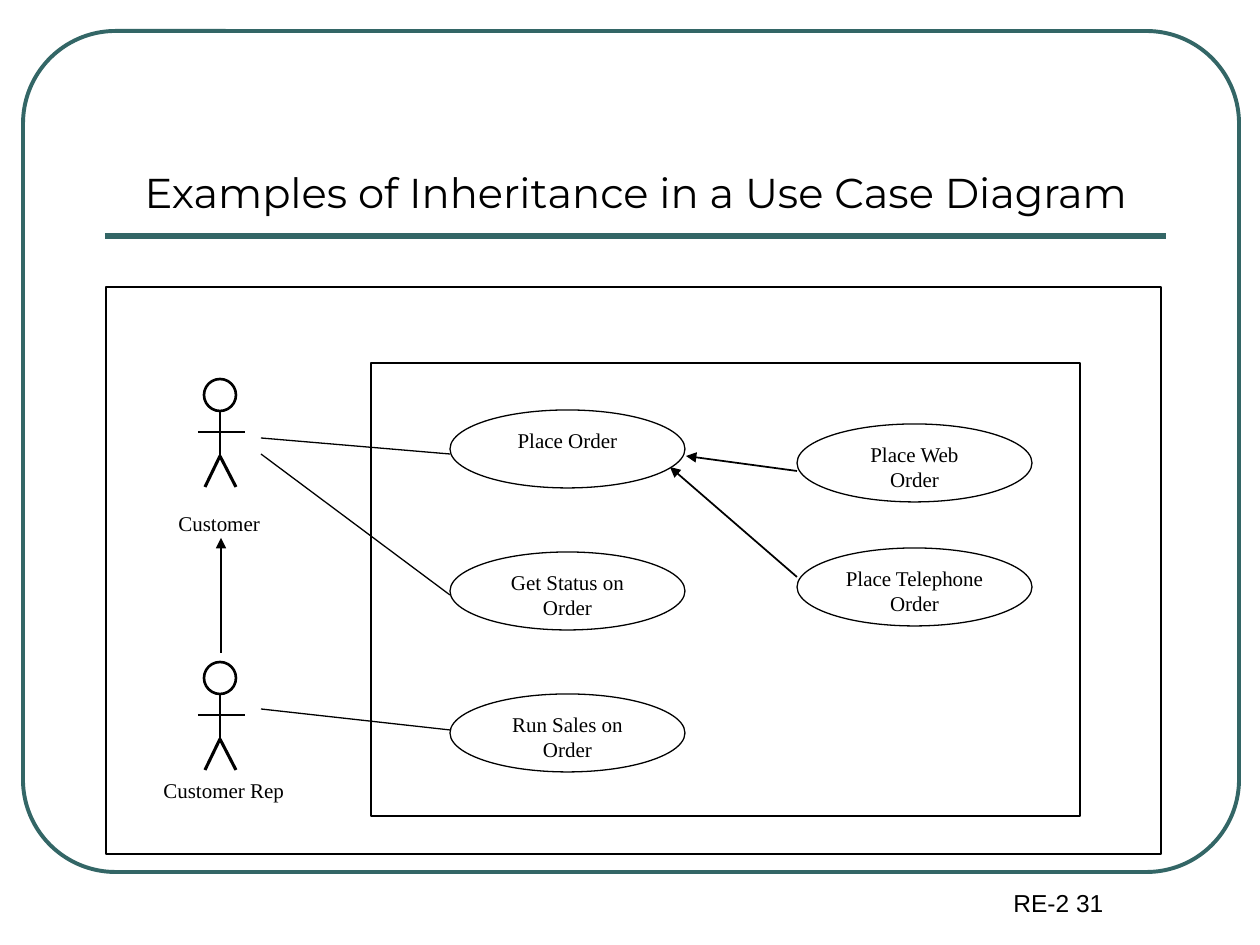
"""Builds a slide with a use case diagram that shows inheritance."""
from lxml import etree
from pptx import Presentation
from pptx import util as u
from pptx.dml.color import RGBColor
from pptx.enum import shapes, text
from pptx.oxml import ns

BLACK = RGBColor(0, 0, 0)
WHITE = RGBColor(255, 255, 255)
TEAL = RGBColor(0x33, 0x66, 0x66)
SERIF = "Times New Roman"
PX = 914400 / 126

TITLE = ("Examples of Inheritance in a Use Case Diagram", (132, 102, 1032, 122))
PAGE_LABEL = (" RE-2 31", (945, 882, 220, 63))
FRAME = (23, 31, 1216, 841)
TITLE_RULE = (105, 236, 1166, 236)
DIAGRAM_BOX = (106, 287, 1055, 567)
SYSTEM_BOX = (371, 363, 709, 453)

USE_CASE_SIZE = (235, 78)
BASE_LEFT, SPECIAL_LEFT = 450, 797
USE_CASES = [
    ("Place Order", BASE_LEFT, 410),
    ("Get Status on Order", BASE_LEFT, 552),
    ("Run Sales on Order", BASE_LEFT, 694),
    ("Place Telephone Order", SPECIAL_LEFT, 548),
    ("Place Web Order", SPECIAL_LEFT, 424),
]

ACTOR_CENTER = 220
HEAD = 32
LIMBS = [
    (-22, 53, 25, 53, 1.5),
    (0, 31, 0, 78, 1.5),
    (0, 77, -15, 108, 1.75),
    (0, 77, 16, 108, 1.75),
]
ACTORS = [
    ("Customer", 379, (166, 504, 126, 47)),
    ("Customer Rep", 662, (151, 771, 158, 47)),
]

ASSOCIATIONS = [
    (261, 438, 450, 454),
    (261, 454, 450, 595),
    (261, 709, 450, 730),
]
INHERITANCES = [
    (797, 471, 686, 456),
    (797, 577, 670, 467),
    (221, 653, 221, 538),
]


def px(*lengths):
    return [u.Emu(round(length * PX)) for length in lengths]


def add_text(frame, words, size, font, align, anchor=text.MSO_ANCHOR.TOP):
    frame.word_wrap = True
    frame.auto_size = text.MSO_AUTO_SIZE.NONE
    frame.vertical_anchor = anchor
    paragraph = frame.paragraphs[0]
    paragraph.alignment = align
    run = paragraph.add_run()
    run.text = words
    run.font.size = u.Pt(size)
    run.font.name = font
    run.font.color.rgb = BLACK
    return paragraph


def add_outline(parent, kind, box, color, width, fill=None):
    shape = parent.add_shape(kind, *px(*box))
    shape.shadow.inherit = False
    if fill is None:
        shape.fill.background()
    else:
        shape.fill.solid()
        shape.fill.fore_color.rgb = fill
    shape.line.color.rgb = color
    shape.line.width = u.Pt(width)
    return shape


def add_line(parent, ends, color, width, arrow=False):
    line = parent.add_connector(shapes.MSO_CONNECTOR.STRAIGHT, *px(*ends))
    line.line.color.rgb = color
    line.line.width = u.Pt(width)
    if arrow:
        etree.SubElement(line.line._get_or_add_ln(), ns.qn("a:tailEnd"), type="triangle")
    etree.SubElement(line._element.spPr, ns.qn("a:effectLst"))


def add_label(parent, words, box, size, font, align):
    label = parent.add_textbox(*px(*box))
    add_text(label.text_frame, words, size, font, align)


def add_actor(parent, name, top, label_box):
    actor = parent.add_group_shape().shapes
    head = (ACTOR_CENTER - HEAD / 2, top, HEAD, HEAD)
    add_outline(actor, shapes.MSO_SHAPE.OVAL, head, BLACK, 1.5, WHITE)
    for x1, y1, x2, y2, width in LIMBS:
        ends = (ACTOR_CENTER + x1, top + y1, ACTOR_CENTER + x2, top + y2)
        add_line(actor, ends, BLACK, width)
    add_label(actor, name, label_box, 12, SERIF, text.PP_ALIGN.LEFT)


def main():
    presentation = Presentation()
    presentation.slide_width, presentation.slide_height = px(1260, 945)
    slide = presentation.slides.add_slide(presentation.slide_layouts[5])
    canvas = slide.shapes

    title = canvas.title
    words, box = TITLE
    title.left, title.top, title.width, title.height = px(*box)
    paragraph = add_text(title.text_frame, words, 23.8, "Montserrat",
                         text.PP_ALIGN.LEFT, text.MSO_ANCHOR.BOTTOM)
    paragraph.line_spacing = 0.9

    frame = add_outline(canvas, shapes.MSO_SHAPE.ROUNDED_RECTANGLE, FRAME, TEAL, 2.25)
    frame.adjustments[0] = 0.11
    add_line(canvas, TITLE_RULE, TEAL, 3)
    add_label(canvas, *PAGE_LABEL, 14, "Arial", text.PP_ALIGN.CENTER)

    for name, left, top in USE_CASES:
        oval = add_outline(canvas, shapes.MSO_SHAPE.OVAL, (left, top, *USE_CASE_SIZE),
                           BLACK, 0.75, WHITE)
        add_text(oval.text_frame, name, 12, SERIF, text.PP_ALIGN.CENTER)
    add_outline(canvas, shapes.MSO_SHAPE.RECTANGLE, SYSTEM_BOX, BLACK, 1.5)
    for actor in ACTORS:
        add_actor(canvas, *actor)
    add_outline(canvas, shapes.MSO_SHAPE.RECTANGLE, DIAGRAM_BOX, BLACK, 1)

    for ends in ASSOCIATIONS:
        add_line(canvas, ends, BLACK, 0.75)
    for ends in INHERITANCES:
        add_line(canvas, ends, BLACK, 1, arrow=True)

    presentation.save("out.pptx")


if __name__ == "__main__":
    main()
